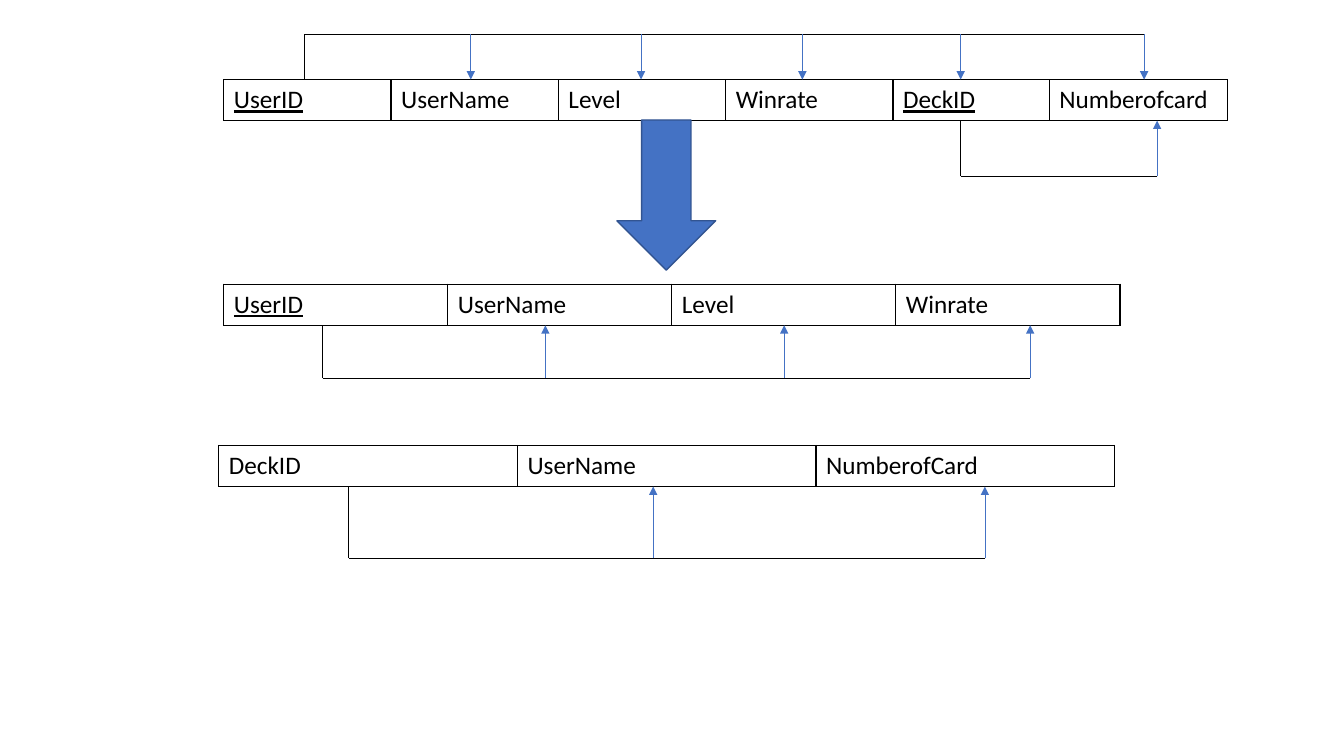
from dataclasses import dataclass

from lxml.etree import SubElement
from pptx import Presentation
from pptx.dml.color import RGBColor
from pptx.enum.shapes import MSO_CONNECTOR, MSO_SHAPE
from pptx.oxml.ns import qn
from pptx.util import Inches, Pt

COLORS = {"ink": "000000", "accent": "4472C4", "outline": "325491"}
FONT = "Calibri"
ROW_HEIGHT = 5.43

deck = Presentation()
deck.slide_width, deck.slide_height = Inches(13.33), Inches(7.5)
page = deck.slides.add_slide(deck.slide_layouts[6])


# All lengths are percentages of the slide's width or height.
@dataclass
class Dependency:
    key: float
    rail: float
    targets: list[float]


@dataclass
class Relation:
    left: float
    top: float
    widths: list[float]
    fields: list[str]
    keys: set[str]
    dependencies: list[Dependency]


def across(share: float) -> int:
    return round(deck.slide_width * share / 100)


def down(share: float) -> int:
    return round(deck.slide_height * share / 100)


def color(name: str) -> RGBColor:
    return RGBColor.from_string(COLORS[name])


def write(frame, text: str, *, size: float = 18, ink: str = "ink",
          underline: bool = False) -> None:
    span = frame.paragraphs[0].add_run()
    span.text = text
    span.font.name = FONT
    span.font.size = Pt(size)
    span.font.color.rgb = color(ink)
    span.font.underline = underline


def add_borders(cell) -> None:
    properties = cell._tc.get_or_add_tcPr()
    for index, side in enumerate(("a:lnL", "a:lnR", "a:lnT", "a:lnB")):
        border = SubElement(properties, qn(side), w=str(Pt(1)))
        fill = SubElement(border, qn("a:solidFill"))
        SubElement(fill, qn("a:srgbClr"), val=COLORS["ink"])
        properties.insert(index, border)


def draw_line(x1: float, y1: float, x2: float, y2: float,
              arrow: bool = False) -> None:
    line = page.shapes.add_connector(
        MSO_CONNECTOR.STRAIGHT, across(x1), down(y1), across(x2), down(y2))
    line.line.color.rgb = color("accent" if arrow else "ink")
    line.line.width = Pt(0.5)
    if arrow:
        SubElement(line.line._get_or_add_ln(), qn("a:tailEnd"), type="triangle")
    SubElement(line._element.spPr, qn("a:effectLst"))


def draw_table(relation: Relation) -> None:
    table = page.shapes.add_table(
        1, len(relation.fields), across(relation.left), down(relation.top),
        across(sum(relation.widths)), down(ROW_HEIGHT)).table
    table.first_row = table.horz_banding = False
    for column, width in zip(table.columns, relation.widths):
        column.width = across(width)
    for cell, field in zip(table.rows[0].cells, relation.fields):
        cell.fill.background()
        add_borders(cell)
        write(cell.text_frame, field, underline=field in relation.keys)


def draw_dependency(relation: Relation, dependency: Dependency) -> None:
    rail = dependency.rail
    above = rail < relation.top
    edge = relation.top if above else relation.top + ROW_HEIGHT
    draw_line(dependency.key, edge, dependency.key, rail)
    draw_line(dependency.key, rail, dependency.targets[-1], rail)
    for target in dependency.targets:
        draw_line(target, rail, target, edge, arrow=True)


RELATIONS = [
    Relation(16.65, 10.53, [12.45] * 4 + [11.63, 13.28],
             ["UserID", "UserName", "Level", "Winrate", "DeckID", "Numberofcard"],
             {"UserID", "DeckID"},
             [Dependency(22.65, 4.53, [35.03, 47.7, 59.7, 71.48, 85.13]),
              Dependency(71.48, 23.33, [86.1])]),
    Relation(16.65, 37.6, [16.67] * 4,
             ["UserID", "UserName", "Level", "Winrate"], {"UserID"},
             [Dependency(24, 50, [40.58, 58.35, 76.65])]),
    Relation(16.28, 58.93, [22.22] * 3,
             ["DeckID", "UserName", "NumberofCard"], set(),
             [Dependency(25.95, 73.87, [48.6, 73.28])]),
]

# Relations
for relation in RELATIONS:
    draw_table(relation)

# Decomposition arrow
split_arrow = page.shapes.add_shape(
    MSO_SHAPE.DOWN_ARROW, across(45.9), down(15.87), across(7.35), down(19.87))
split_arrow.shadow.inherit = False
split_arrow.fill.solid()
split_arrow.fill.fore_color.rgb = color("accent")
split_arrow.line.color.rgb = color("outline")
split_arrow.line.width = Pt(1)

# Functional dependencies
for relation in RELATIONS:
    for dependency in relation.dependencies:
        draw_dependency(relation, dependency)

deck.save("out.pptx")
